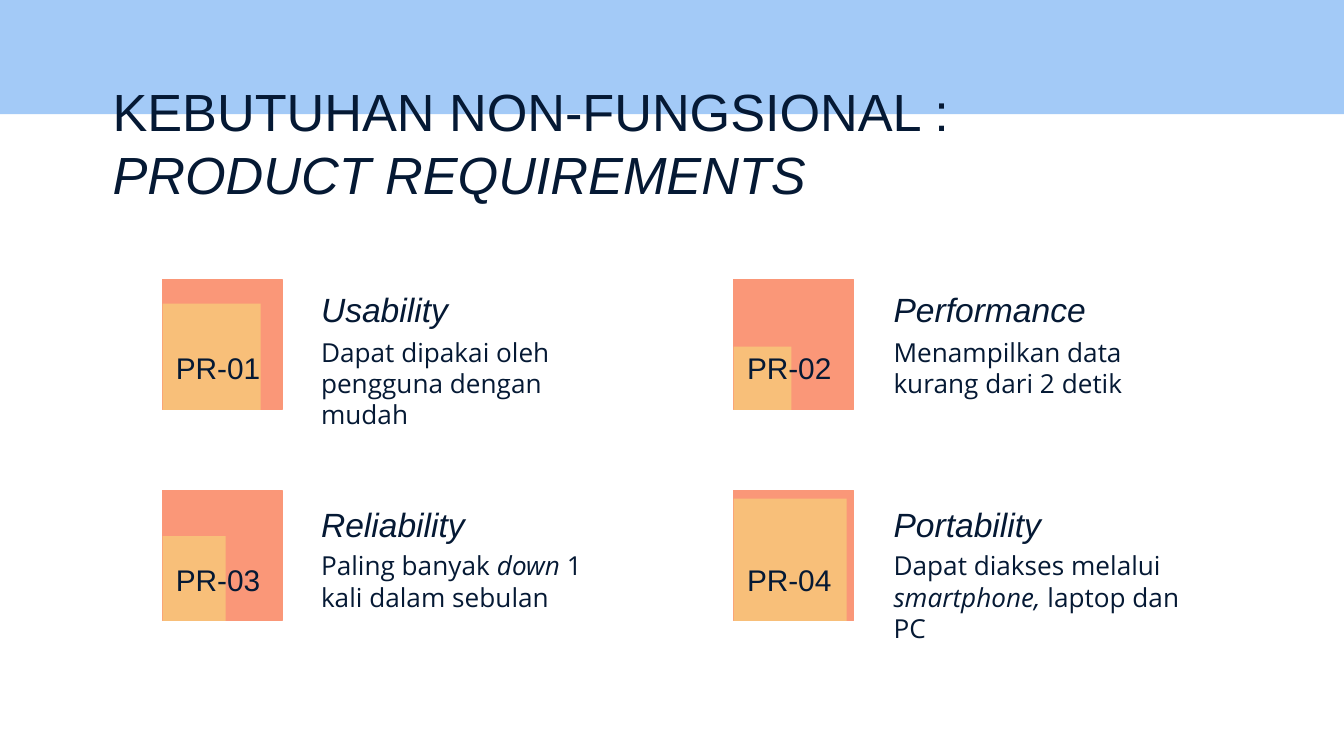
from pptx import Presentation
from pptx.util import Inches, Pt
from pptx.dml.color import RGBColor
from pptx.enum.shapes import MSO_SHAPE
from pptx.enum.text import MSO_ANCHOR

COLORS = {"band": "A3CAF7", "ink": "051934", "tile": "FA9778", "level": "F8BF79"}
COLS = [1.21, 5.46]
TEXT_COLS = [2.29, 6.55]
TILE_ROWS = [2.08, 3.65]
NAME_ROWS = [2.05, 3.65]
DETAIL_ROWS = [2.4, 3.99]
CODE_ROWS = [2.5, 4.08]
TILE_W, TILE_H = 0.89, 0.97
TEXT_W = 2.39

prs = Presentation()
prs.slide_width, prs.slide_height = Pt(720), Pt(405)
s = prs.slides.add_slide(prs.slide_layouts[6])


def add_rect(x, y, w, h, color, outlined=False):
    sp = s.shapes.add_shape(MSO_SHAPE.RECTANGLE, Inches(x), Inches(y), Inches(w), Inches(h))
    sp.shadow.inherit = False
    sp.fill.solid()
    sp.fill.fore_color.rgb = RGBColor.from_string(COLORS[color])
    if outlined:
        sp.line.color.rgb = RGBColor.from_string(COLORS[color])
        sp.line.width = Pt(0.75)
    else:
        sp.line.fill.background()


def add_text(x, y, w, h, runs, size, font="Arial"):
    tf = s.shapes.add_textbox(Inches(x), Inches(y), Inches(w), Inches(h)).text_frame
    tf.word_wrap = True
    tf.vertical_anchor = MSO_ANCHOR.TOP
    tf.margin_left = tf.margin_right = tf.margin_top = tf.margin_bottom = Inches(0.1)
    p = tf.paragraphs[0]
    p.font.size = Pt(size)
    p.font.name = font
    p.font.color.rgb = RGBColor.from_string(COLORS["ink"])
    for text, italic in runs:
        r = p.add_run()
        r.text = text
        r.font.italic = italic


add_rect(0, 0, 10, 0.85, "band")
add_text(0.74, 0.49, 7.73, 0.63,
         [("KEBUTUHAN NON-FUNGSIONAL : ", False), ("PRODUCT REQUIREMENTS", True)], 28)

requirements = [
    ("Usability", 0.73, 0.79, [("Dapat dipakai oleh pengguna dengan mudah", False)]),
    ("Performance", 0.43, 0.47, [("Menampilkan data kurang dari 2 detik", False)]),
    ("Reliability", 0.47, 0.63,
     [("Paling banyak ", False), ("down", True), (" 1 kali dalam sebulan", False)]),
    ("Portability", 0.84, 0.91,
     [("Dapat diakses melalui ", False), ("smartphone, ", True), ("laptop dan PC", False)]),
]

for i, (name, level_w, level_h, detail) in enumerate(requirements):
    row, col = divmod(i, 2)
    x, y = COLS[col], TILE_ROWS[row]
    add_rect(x, y, TILE_W, TILE_H, "tile", outlined=True)
    add_rect(x, y + TILE_H - level_h, level_w, level_h, "level")
    add_text(TEXT_COLS[col], NAME_ROWS[row], TEXT_W, 0.63, [(name, True)], 18)
    add_text(TEXT_COLS[col], DETAIL_ROWS[row], TEXT_W, 0.59, detail, 14, "Open Sans")
    add_text(x, CODE_ROWS[row], TEXT_W, 0.63, [(f"PR-0{i + 1}", False)], 16)

prs.save("out.pptx")
